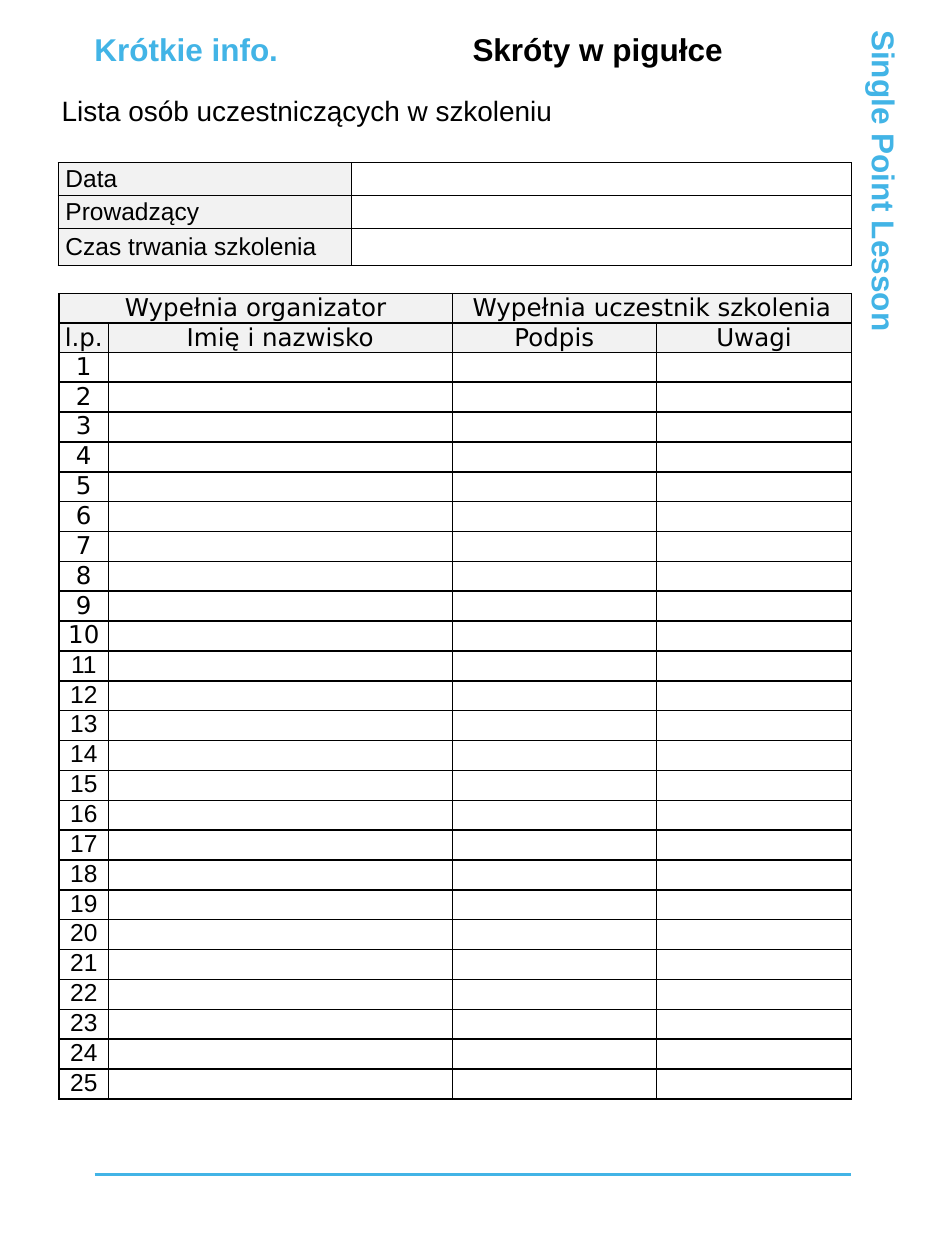
from lxml.etree import SubElement
from pptx import Presentation
from pptx.dml.color import RGBColor
from pptx.enum.shapes import MSO_CONNECTOR, MSO_SHAPE
from pptx.enum.text import MSO_ANCHOR, MSO_AUTO_SIZE, PP_ALIGN
from pptx.oxml.ns import qn
from pptx.util import Inches, Pt

COLORS = {"accent": "42B4E6", "text": "000000", "header": "F2F2F2", "paper": "FFFFFF"}
PARTICIPANTS = 25


def rgb(name):
    """Return the named palette colour."""
    return RGBColor.from_string(COLORS[name])


def place(shape, left, top, width, height):
    """Move and size a shape in inches."""
    shape.left, shape.top = Inches(left), Inches(top)
    shape.width, shape.height = Inches(width), Inches(height)


def write(frame, text, size, color="text", bold=False, font="Arial", align=PP_ALIGN.LEFT):
    """Fill a text frame with one formatted paragraph."""
    frame.text = text
    paragraph = frame.paragraphs[0]
    paragraph.alignment = align
    for run in paragraph.runs:
        run.font.name = font
        run.font.size = Pt(size)
        run.font.bold = bold
        run.font.color.rgb = rgb(color)


def label(shape, text, size, **style):
    """Write top-anchored text without insets in a shape."""
    frame = shape.text_frame
    frame.margin_left = frame.margin_right = frame.margin_top = frame.margin_bottom = 0
    frame.word_wrap = True
    frame.auto_size = MSO_AUTO_SIZE.NONE
    frame.vertical_anchor = MSO_ANCHOR.TOP
    write(frame, text, size, **style)


def add_label(slide, box, text, size, **style):
    """Add a text box with one label."""
    label(slide.shapes.add_textbox(*map(Inches, box)), text, size, **style)


def add_side_heading(slide, text):
    """Add the heading that runs down the right edge."""
    heading = slide.shapes.add_shape(MSO_SHAPE.RECTANGLE, *map(Inches, (4.11, 3, 5.82, 0.3)))
    heading.rotation = 90
    heading.shadow.inherit = False
    heading.fill.solid()
    heading.fill.fore_color.rgb = rgb("paper")
    heading.line.fill.background()
    label(heading, text, 18, color="accent", bold=True)


def add_footer_rule(slide):
    """Add the coloured line at the foot of the page."""
    rule = slide.shapes.add_connector(
        MSO_CONNECTOR.STRAIGHT, *map(Inches, (0.75, 9.32, 6.75, 9.32)))
    rule.line.color.rgb = rgb("accent")
    rule.line.width = Pt(1.5)
    SubElement(rule._element.spPr, qn("a:effectLst"))


def add_borders(cell, width):
    """Draw all four borders of a cell."""
    properties = cell._tc.get_or_add_tcPr()
    for side in ("lnL", "lnR", "lnT", "lnB"):
        border = SubElement(properties, qn(f"a:{side}"), w=str(Pt(width)))
        fill = SubElement(border, qn("a:solidFill"))
        SubElement(fill, qn("a:srgbClr"), val=COLORS["text"])


def add_grid(slide, left, top, columns, rows, border, inset):
    """Add a plain ruled table with 14-point cells."""
    table = slide.shapes.add_table(
        len(rows), len(columns), Inches(left), Inches(top),
        Inches(sum(columns)), Inches(sum(rows))).table
    table.first_row = table.horz_banding = False
    for column, width in zip(table.columns, columns):
        column.width = Inches(width)
    for row, height in zip(table.rows, rows):
        row.height = Inches(height)
    for cell in table.iter_cells():
        add_borders(cell, border)
        cell.fill.background()
        cell.margin_left = cell.margin_right = Inches(inset)
        cell.margin_top = cell.margin_bottom = 0
        SubElement(cell.text_frame.paragraphs[0]._p, qn("a:endParaRPr"), sz="1400")
    return table


def write_header(cell, text, **style):
    """Fill a shaded, vertically centred header cell."""
    cell.fill.solid()
    cell.fill.fore_color.rgb = rgb("header")
    cell.vertical_anchor = MSO_ANCHOR.MIDDLE
    write(cell.text_frame, text, 14, **style)


def add_attendance(slide):
    """Add the numbered attendance list."""
    row_count = PARTICIPANTS + 2
    table = add_grid(slide, 0.47, 2.33, [0.39, 2.73, 1.62, 1.55],
                     [6.3 / row_count] * row_count, 1, 0.04)
    style = {"font": "DejaVu Sans", "align": PP_ALIGN.CENTER}
    groups = ["Wypełnia organizator", "Wypełnia uczestnik szkolenia"]
    for index, group in enumerate(groups):
        first = table.cell(0, 2 * index)
        first.merge(table.cell(0, 2 * index + 1))
        write_header(first, group, **style)
    for index, heading in enumerate(["l.p.", "Imię i nazwisko", "Podpis", "Uwagi"]):
        write_header(table.cell(1, index), heading, **style)
    for number in range(1, PARTICIPANTS + 1):
        font = "DejaVu Sans" if number <= 10 else "Arial"
        write(table.cell(number + 1, 0).text_frame, str(number), 14,
              font=font, align=PP_ALIGN.CENTER)


def add_training_details(slide):
    """Add the table with date, trainer and duration."""
    table = add_grid(slide, 0.46, 1.29, [2.33, 3.97], [0.26, 0.26, 0.3], 0.5, 0.06)
    for index, detail in enumerate(["Data", "Prowadzący", "Czas trwania szkolenia"]):
        write_header(table.cell(index, 0), detail)


def main():
    """Build the attendance sheet and save it."""
    deck = Presentation()
    deck.slide_width, deck.slide_height = Inches(7.5), Inches(10)
    slide = deck.slides.add_slide(deck.slide_layouts[5])
    add_label(slide, (0.75, 0.24, 2.76, 0.3), "Krótkie info.", 18, color="accent", bold=True)
    add_side_heading(slide, "Single Point Lesson")
    add_footer_rule(slide)
    add_attendance(slide)
    title = slide.shapes.title
    place(title, 3.75, 0.24, 3, 0.45)
    label(title, "Skróty w pigułce", 18, bold=True)
    add_training_details(slide)
    add_label(slide, (0.49, 0.74, 6.1, 0.37), "Lista osób uczestniczących w szkoleniu", 16)
    deck.save("out.pptx")


if __name__ == "__main__":
    main()
